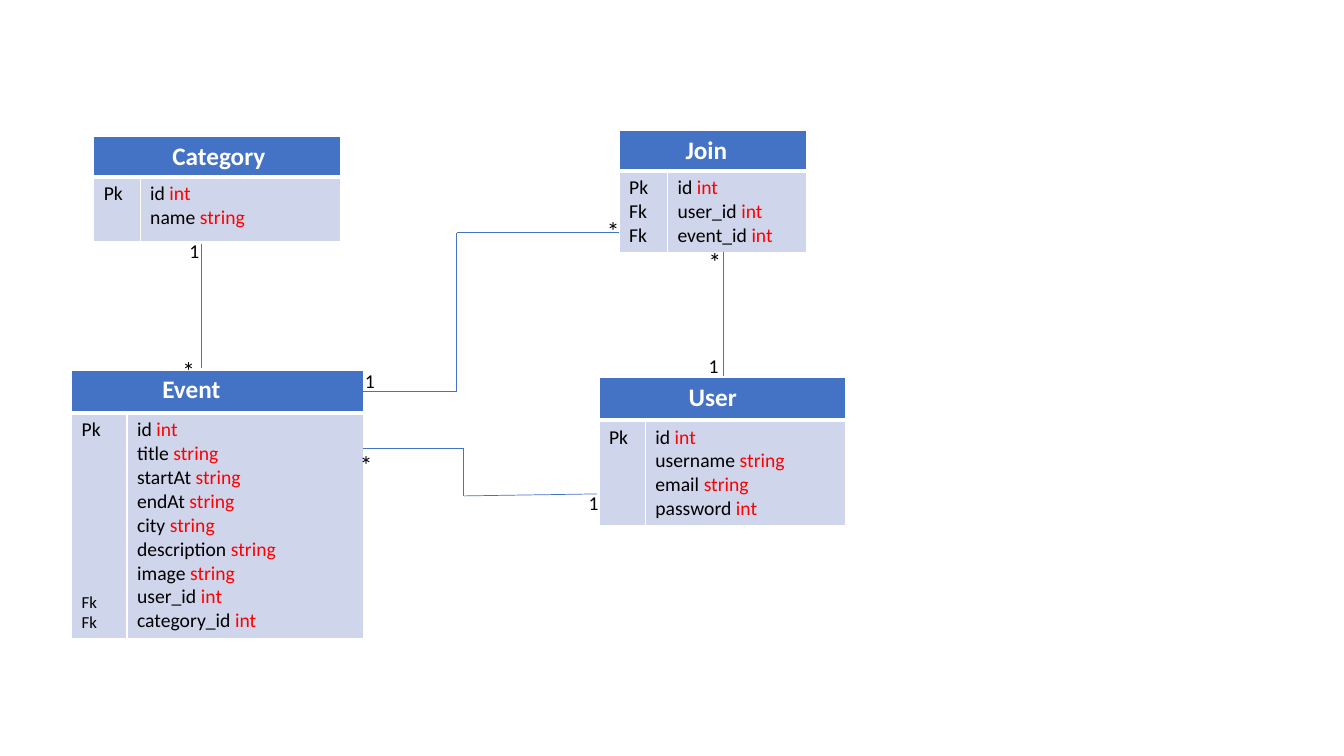
from lxml import etree
from pptx import Presentation
from pptx import util as u
from pptx.dml.color import RGBColor
from pptx.enum import shapes
from pptx.oxml import ns


def color(value):
    return RGBColor.from_string(value)


class Diagram:
    font = "Calibri"
    blue, pale, white = "4472C4", "CFD5EA", "FFFFFF"
    black, red = "000000", "FF0000"

    def __init__(self, page):
        self.page = page

    def add_span(self, para, words, size, ink, bold=False):
        span = para.add_run()
        span.text = words
        span.font.name = self.font
        span.font.size = u.Pt(size)
        span.font.bold = bold
        span.font.color.rgb = color(ink)

    def next_para(self, frame, index):
        return frame.add_paragraph() if index else frame.paragraphs[0]

    def style_cell(self, cell, fill, bottom=1, top=1):
        properties = cell._tc.get_or_add_tcPr()
        for side, width in (("L", 1), ("R", 1), ("T", top), ("B", bottom)):
            line = etree.SubElement(properties, ns.qn(f"a:ln{side}"), w=str(u.Pt(width)))
            solid = etree.SubElement(line, ns.qn("a:solidFill"))
            etree.SubElement(solid, ns.qn("a:srgbClr"), val=self.white)
        cell.fill.solid()
        cell.fill.fore_color.rgb = color(fill)

    def entity(self, name, left, top, widths, heights, indent, keys, fields):
        frame = self.page.shapes.add_table(
            2, 2, u.Inches(left), u.Inches(top),
            u.Inches(sum(widths)), u.Inches(sum(heights)))
        table = frame.table
        for column, width in zip(table.columns, widths):
            column.width = u.Inches(width)
        for row, height in zip(table.rows, heights):
            row.height = u.Inches(height)

        header = table.cell(0, 0)
        header.merge(table.cell(0, 1))
        for column in range(2):
            self.style_cell(table.cell(0, column), self.blue, bottom=3)
            self.style_cell(table.cell(1, column), self.pale, top=3)
        header.margin_left = u.Inches(indent)
        self.add_span(header.text_frame.paragraphs[0], name, 18, self.white, True)

        for index, (key, size, gap) in enumerate(keys):
            para = self.next_para(table.cell(1, 0).text_frame, index)
            para.space_before = u.Pt(gap)
            self.add_span(para, key, size, self.black)
        for index, field in enumerate(fields):
            para = self.next_para(table.cell(1, 1).text_frame, index)
            label, kind = field.split()
            self.add_span(para, label + " ", 14, self.black)
            self.add_span(para, kind, 14, self.red)

    def line(self, start, end):
        connector = self.page.shapes.add_connector(
            shapes.MSO_CONNECTOR.STRAIGHT, *map(u.Inches, start + end))
        connector.line.color.rgb = color(self.blue)
        connector.line.width = u.Pt(0.5)
        etree.SubElement(connector._element.spPr, ns.qn("a:effectLst"))

    def path_through(self, *points):
        for start, end in zip(points, points[1:]):
            self.line(start, end)

    def multiplicity(self, mark, left, top, width=1.07):
        size, height = (18, 0.4) if mark == "*" else (14, 0.34)
        box = self.page.shapes.add_textbox(*map(u.Inches, (left, top, width, height)))
        box.text_frame.word_wrap = True
        self.add_span(box.text_frame.paragraphs[0], mark, size, self.black)


def main():
    deck = Presentation()
    deck.slide_width, deck.slide_height = u.Inches(13.33), u.Inches(7.5)
    diagram = Diagram(deck.slides.add_slide(deck.slide_layouts[6]))

    primary, foreign = ("Pk", 14, 0), ("Fk", 14, 0)
    diagram.entity(
        "Event", 0.71, 3.67, (0.55, 2.35), (0.43, 2.2), 0.9,
        [primary, ("Fk", 12, 107.4), ("Fk", 12, 0)],
        ["id int", "title string", "startAt string", "endAt string", "city string",
         "description string", "image string", "user_id int", "category_id int"])
    diagram.entity(
        "User", 5.94, 3.74, (0.46, 1.99), (0.43, 1.04), 0.89, [primary],
        ["id int", "username string", "email string", "password int"])
    diagram.entity(
        "Join", 6.14, 1.29, (0.48, 1.38), (0.4, 0.8), 0.66,
        [primary, foreign, foreign], ["id int", "user_id int", "event_id int"])
    diagram.entity(
        "Category", 0.93, 1.35, (0.46, 1.99), (0.4, 0.64), 0.78, [primary],
        ["id int", "name string"])

    diagram.path_through((2, 3.65), (2, 2.42))
    diagram.path_through((7.17, 2.5), (7.17, 3.73))
    diagram.path_through((3.6, 3.88), (4.53, 3.88), (4.53, 2.31), (6.14, 2.31))
    diagram.path_through((3.6, 4.45), (4.6, 4.45), (4.6, 4.92), (5.92, 4.9))

    for mark, left, top in (
            ("1", 1.78, 2.32), ("*", 1.71, 3.48),
            ("*", 6.93, 2.39), ("1", 6.93, 3.46),
            ("*", 5.92, 2.09), ("*", 3.47, 4.41), ("1", 5.74, 4.82)):
        diagram.multiplicity(mark, left, top)
    diagram.multiplicity("1", 3.52, 3.61, 0.51)

    deck.save("out.pptx")


if __name__ == "__main__":
    main()
